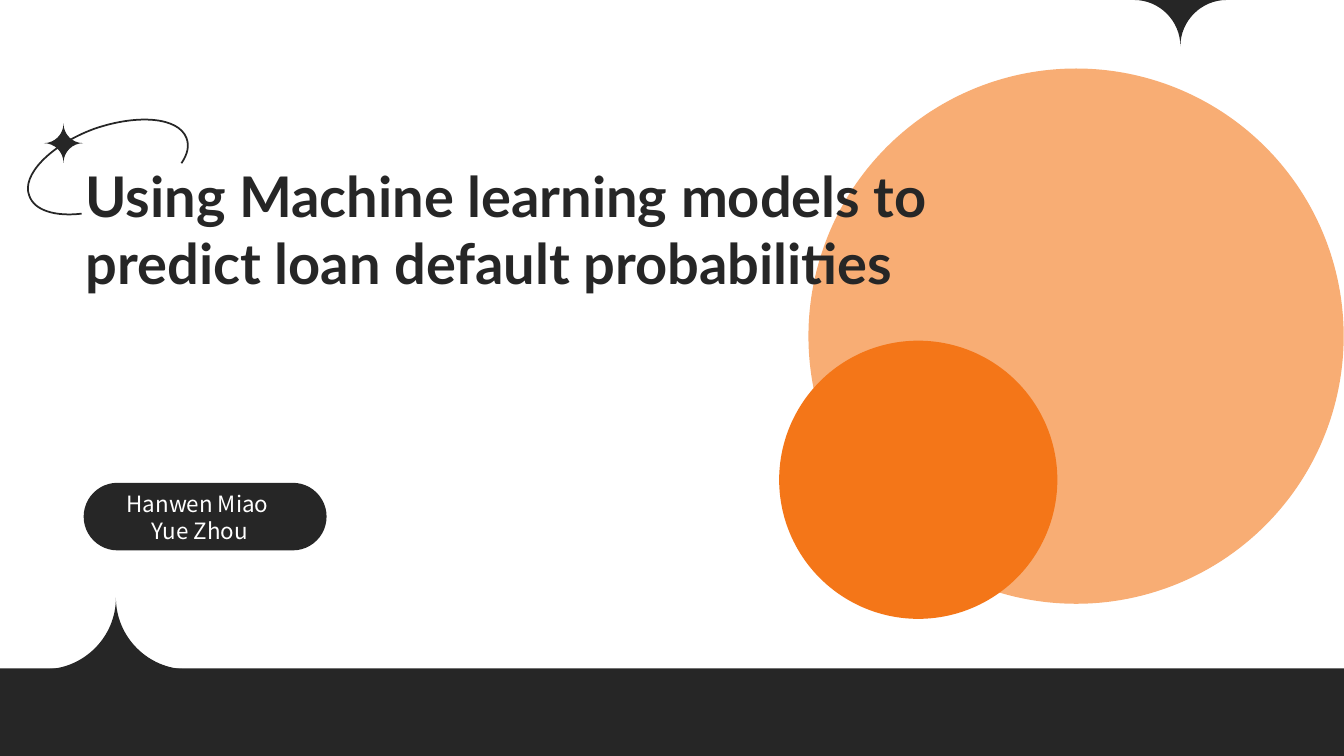
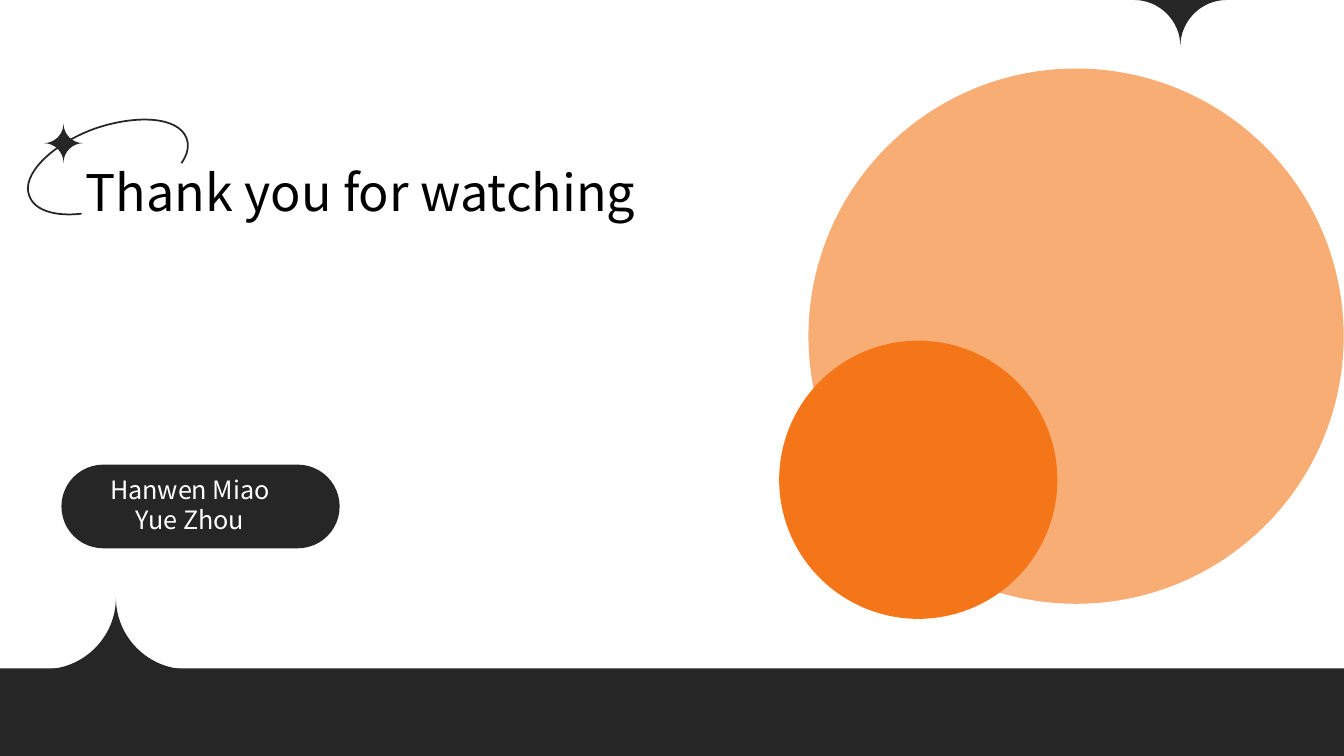
import lxml.etree
import pptx
import pptx.util
import pptx.dml.color
import pptx.enum.shapes
import pptx.enum.text
import pptx.oxml.ns

ROWS, COLS = 75, 133.33
BLEED = 0.3
CELL = pptx.util.Inches(7.5) // ROWS  # square grid cell
COLORS = {"ink": "262626", "black": "000000", "white": "FFFFFF",
          "peach": "F8AD74", "orange": "F47618"}
SHAPE = pptx.enum.shapes.MSO_SHAPE
ALIGN = pptx.enum.text.PP_ALIGN
ANCHOR = pptx.enum.text.MSO_ANCHOR
SANS = "Noto Sans CJK SC"

RIGHT, UP, LEFT, DOWN = (1, 0), (0, -1), (-1, 0), (0, 1)
ARC = 0.55  # Bezier handle length of a quarter circle
ORBIT_BOX = (2.8, 11.9, 15.9, 9.4)
ORBIT_START = (18, 16.2)
ORBIT_CURVES = [[(18.6, 15.3), (18.8, 14.5), (18.5, 13.7)],
                [(17.7, 11.6), (13.6, 11.3), (9.3, 12.8)],
                [(5, 14.4), (2.1, 17.4), (2.9, 19.4)],
                [(3.4, 20.9), (5.5, 21.5), (8.1, 21.2)]]

SLIDES = [
    {"title": "Using Machine learning models to predict loan default probabilities",
     "title_font": {"size": pptx.util.Pt(40), "name": "Lato", "bold": True},
     "title_color": "ink", "pill": (8.3, 47.9, 24.1, 6.7),
     "names": ["Hanwen Miao ", "Yue Zhou"],
     "names_at": (11, 49.7), "names_size": 16},
    {"title": "Thank you for watching",
     "title_font": {"size": pptx.util.Pt(36), "name": SANS},
     "title_color": "black", "pill": (6.1, 46.1, 27.6, 8.3),
     "names": ["Hanwen Miao", "Yue Zhou"],
     "names_at": (10, 48.5), "names_size": 18},
]


def grid(*cells):
    return [pptx.util.Emu(round(c * CELL)) for c in cells]


def rgb(color):
    return pptx.dml.color.RGBColor.from_string(COLORS[color])


def set_all(obj, values):
    for name, value in values.items():
        setattr(obj, name, value)


def paint(sp, color):
    sp.shadow.inherit = False
    sp.fill.solid()
    sp.fill.fore_color.rgb = rgb(color)
    sp.line.fill.background()


def add_block(s, kind, box, color):
    sp = s.shapes.add_shape(kind, *grid(*box))
    paint(sp, color)
    return sp


def add_circle(s, left, top, size, color):
    add_block(s, SHAPE.OVAL, (left, top, size, size), color)


def add_text(s, box, lines, font, color, align=ALIGN.LEFT, anchor=ANCHOR.TOP):
    tf = s.shapes.add_textbox(*grid(*box)).text_frame
    set_all(tf, {"word_wrap": True, "vertical_anchor": anchor,
                 "margin_left": 0, "margin_right": 0,
                 "margin_top": 0, "margin_bottom": 0})
    for i, line in enumerate(lines):
        p = tf.add_paragraph() if i else tf.paragraphs[0]
        p.alignment = align
        r = p.add_run()
        r.text = line
        set_all(r.font, font)
        r.font.color.rgb = rgb(color)


def add_curves(s, box, start, curves, close):
    """Add a freeform filling box whose outline is made of cubic curves."""
    left, top, width, height = box
    builder = s.shapes.build_freeform(*grid(left, top))
    builder.add_line_segments([grid(left + width, top + height)], close=False)
    sp = builder.convert_to_shape()
    qn = pptx.oxml.ns.qn
    outline = sp._element.find(".//" + qn("a:path"))
    for step in list(outline):
        outline.remove(step)

    def add_step(tag, points=()):
        step = lxml.etree.SubElement(outline, qn(tag))
        for x, y in points:
            dx, dy = grid(x - left, y - top)
            lxml.etree.SubElement(step, qn("a:pt"), x=str(int(dx)), y=str(int(dy)))

    add_step("a:moveTo", [start])
    for curve in curves:
        add_step("a:cubicBezTo", curve)
    if close:
        add_step("a:close")
    return sp


def add_star(s, cx, cy, radius, tips):
    """Join the tips of a star around (cx, cy) by inward quarter circles."""
    def on_ray(tip, share):
        return cx + tip[0] * radius * share, cy + tip[1] * radius * share

    curves = [(on_ray(a, 1 - ARC), on_ray(b, 1 - ARC), on_ray(b, 1))
              for a, b in zip(tips, tips[1:])]
    xs, ys = zip(*(on_ray(tip, 1) for tip in tips))
    box = (min(xs), min(ys), max(xs) - min(xs), max(ys) - min(ys))
    paint(add_curves(s, box, on_ray(tips[0], 1), curves, close=True), "ink")


def add_orbit(s):
    sp = add_curves(s, ORBIT_BOX, ORBIT_START, ORBIT_CURVES, close=False)
    sp.shadow.inherit = False
    sp.fill.background()
    sp.line.color.rgb = rgb("ink")
    sp.line.width = pptx.util.Pt(1.25)


def add_names(s, content):
    pill = add_block(s, SHAPE.ROUNDED_RECTANGLE, content["pill"], "ink")
    pill.adjustments[0] = 0.5
    font = {"size": pptx.util.Pt(content["names_size"]), "name": SANS}
    add_text(s, (*content["names_at"], 17.7, 3.1), content["names"],
             font, "white", ALIGN.CENTER, ANCHOR.MIDDLE)


def add_slide(prs, content):
    s = prs.slides.add_slide(prs.slide_layouts[6])
    add_orbit(s)
    add_circle(s, 80.2, 6.8, 53.1, "peach")
    add_names(s, content)
    add_text(s, (8.5, 16, 91.1, 28.4), [content["title"]],
             content["title_font"], content["title_color"])
    add_block(s, SHAPE.RECTANGLE, (-BLEED, 66.3, COLS + 2 * BLEED, 8.7), "ink")
    add_star(s, 11.5, 66.4, 7.1, [RIGHT, UP, LEFT])
    add_star(s, 117.1, 0, 4.6, [RIGHT, DOWN, LEFT])
    add_star(s, 6.3, 14.2, 1.95, [RIGHT, UP, LEFT, DOWN, RIGHT])
    add_circle(s, 77.3, 33.8, 27.6, "orange")


def main():
    prs = pptx.Presentation()
    prs.slide_width, prs.slide_height = grid(COLS, ROWS)
    for content in SLIDES:
        add_slide(prs, content)
    prs.save("out.pptx")


if __name__ == "__main__":
    main()
